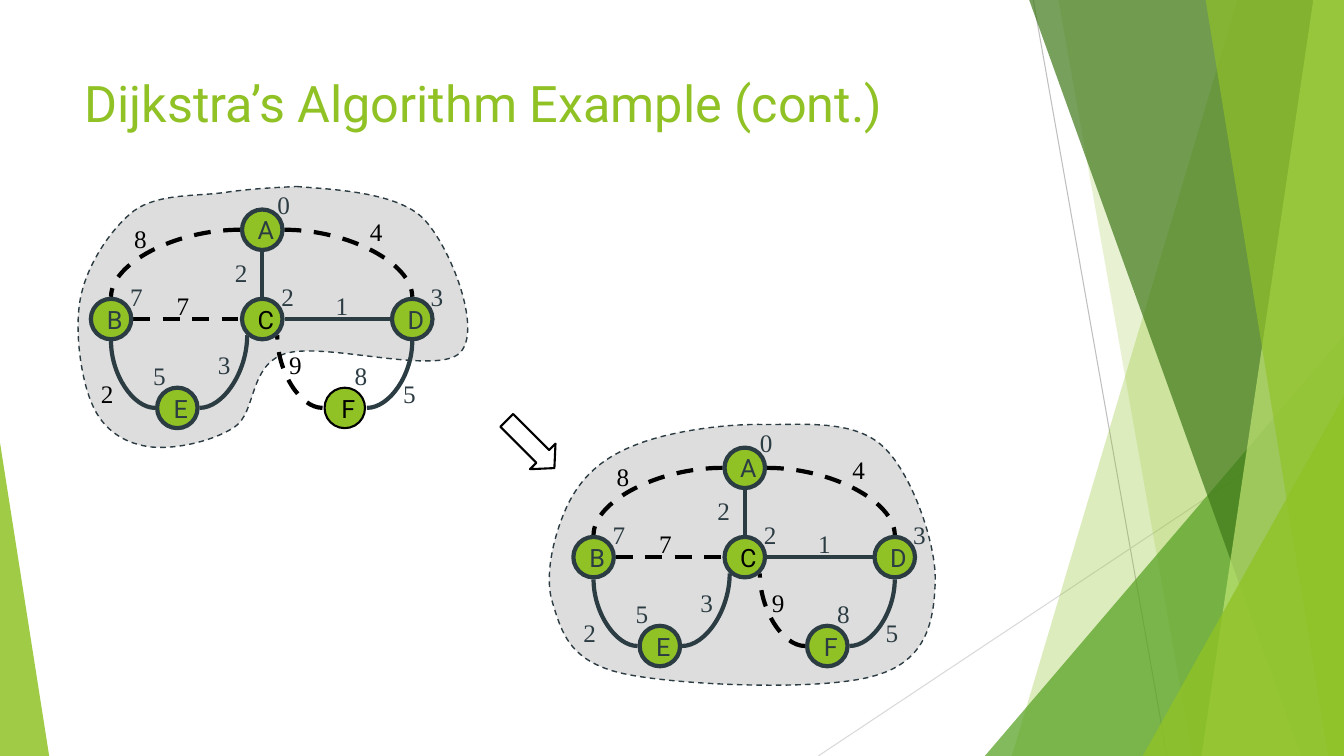
from lxml import etree
from pptx import Presentation
from pptx.dml.color import RGBColor
from pptx.enum.dml import MSO_LINE
from pptx.enum.shapes import MSO_CONNECTOR, MSO_SHAPE
from pptx.enum.text import MSO_ANCHOR, MSO_AUTO_SIZE, PP_ALIGN
from pptx.oxml.ns import qn
from pptx.util import Cm, Pt

STRAIGHT, CURVE = MSO_CONNECTOR.STRAIGHT, MSO_CONNECTOR.CURVE
ELLIPSE, TRIANGLE, ARROW = MSO_SHAPE.OVAL, MSO_SHAPE.ISOSCELES_TRIANGLE, MSO_SHAPE.RIGHT_ARROW
DASH = MSO_LINE.DASH
TOP, MIDDLE = MSO_ANCHOR.TOP, MSO_ANCHOR.MIDDLE
LEFT, CENTER = PP_ALIGN.LEFT, PP_ALIGN.CENTER
GROW, FIXED = MSO_AUTO_SIZE.SHAPE_TO_FIT_TEXT, MSO_AUTO_SIZE.NONE

SANS, SERIF = "Roboto", "Times New Roman"
GREEN, SLATE, BLACK, GREY = "90C226", "2C3C43", "000000", "DDDDDD"
W, H = 33.87, 19.05

# Graph geometry in cm, relative to the graph's left top corner
RADIUS, GAP = 0.51, 0.56
NODES = {"A": (4.32, 0.51), "B": (0.51, 2.76), "C": (4.32, 2.76),
         "D": (8.1, 2.76), "E": (2.18, 5), "F": (6.4, 5)}
SIDES = {"n": (0, -GAP), "s": (0, GAP), "w": (-GAP, 0), "e": (GAP, 0),
         "sw": (-0.38, 0.41), "se": (0.38, 0.41)}
# Start node and side, end node and side, kind, shortest-path edge,
# weight and place of its label
EDGES = [("A", "w", "B", "n", CURVE, False, "8", (0.84, 0.23)),
         ("E", "w", "B", "s", CURVE, True, "2", (0, 4.14)),
         ("E", "e", "C", "sw", CURVE, True, "3", (2.95, 3.4)),
         ("A", "s", "C", "n", STRAIGHT, True, "2", (3.38, 1.07)),
         ("B", "e", "C", "w", STRAIGHT, False, "7", (1.91, 1.91)),
         ("F", "e", "D", "s", CURVE, True, "5", (7.62, 4.14)),
         ("A", "e", "D", "n", CURVE, False, "4", (6.78, 0.05)),
         ("C", "e", "D", "w", STRAIGHT, True, "1", (5.92, 1.91)),
         ("F", "w", "C", "se", CURVE, False, "9", (4.75, 3.4))]
DISTANCES = [("0", 4.45, -0.64), ("3", 8.31, 1.68), ("2", 4.55, 1.68),
             ("7", 0.74, 1.68), ("5", 1.32, 3.68), ("8", 6.4, 3.68)]

# Cloud outlines: a start point, then two control points and an end per curve
CLOUD_WITHOUT_F = [
    (5.18, -0.58), (5.99, -0.51), (7.7, -0.46), (8.38, 0.23), (9.07, 0.94), (9.88, 3.05),
    (9.3, 3.61), (8.74, 4.19), (5.87, 3.33), (4.9, 3.63), (3.96, 3.94), (4.19, 5.11),
    (3.61, 5.49), (3.02, 5.87), (2.01, 6.07), (1.42, 5.97), (0.81, 5.87), (0.3, 5.54),
    (0.03, 4.9), (-0.25, 4.27), (-0.43, 3), (-0.25, 2.18), (-0.08, 1.37), (0.51, 0.48),
    (1.09, 0.03), (1.7, -0.41), (2.69, -0.33), (3.38, -0.43), (4.06, -0.53),
    (4.8, -0.56), (5.18, -0.58)]
CLOUD_WITH_F = [
    (4.85, -0.58), (5.89, -0.58), (7.09, -0.69), (7.8, -0.03), (8.51, 0.61), (9.14, 2.39),
    (9.12, 3.35), (9.09, 4.32), (8.94, 5.36), (7.62, 5.74), (6.3, 6.15), (2.59, 5.99),
    (1.24, 5.69), (-0.13, 5.38), (-0.3, 4.62), (-0.53, 3.89), (-0.76, 3.15),
    (-0.43, 1.98), (-0.08, 1.32), (0.28, 0.66), (0.79, 0.23), (1.6, -0.08),
    (2.44, -0.41), (3.84, -0.61), (4.85, -0.58)]


def rgb(color):
    return RGBColor.from_string(color)


def style(sp, fill=None, alpha=100, line=None, width=1, dash=None):
    sp.shadow.inherit = False
    if fill:
        sp.fill.solid()
        sp.fill.fore_color.rgb = rgb(fill)
        if alpha < 100:
            clr = sp._element.spPr.find(".//" + qn("a:srgbClr"))
            etree.SubElement(clr, qn("a:alpha")).set("val", str(alpha * 1000))
    else:
        sp.fill.background()
    if line:
        style_line(sp, line, width, dash)
    else:
        sp.line.fill.background()


def style_line(sp, color, width, dash=None):
    sp.line.color.rgb = rgb(color)
    sp.line.width = Pt(width)
    if dash:
        sp.line.dash_style = dash


def set_text(sp, text, size=18, font=SANS, color=SLATE, align=LEFT, anchor=TOP,
             wrap=False, fit=FIXED):
    tf = sp.text_frame
    tf.word_wrap, tf.auto_size, tf.vertical_anchor = wrap, fit, anchor
    p = tf.paragraphs[0]
    p.alignment = align
    r = p.add_run()
    r.text = text
    r.font.size, r.font.name, r.font.color.rgb = Pt(size), font, rgb(color)


def add_shape(s, kind, x, y, w, h):
    return s.shapes.add_shape(kind, Cm(x), Cm(y), Cm(w), Cm(h))


def add_line(s, x1, y1, x2, y2, color, width, dash=None, kind=STRAIGHT):
    c = s.shapes.add_connector(kind, Cm(x1), Cm(y1), Cm(x2), Cm(y2))
    style_line(c, color, width, dash)
    etree.SubElement(c._element.spPr, qn("a:effectLst"))
    if kind == CURVE:
        c._element.spPr.find(qn("a:prstGeom")).set("prst", "curvedConnector2")


def add_outline(s, points):
    pts = [(Cm(x), Cm(y)) for x, y in points]
    builder = s.shapes.build_freeform(*pts[0])
    builder.add_line_segments(pts[1:], close=True)
    return builder.convert_to_shape()


def add_cloud(s, points):
    sp = add_outline(s, points)
    style(sp, GREY, line=SLATE, dash=DASH)
    # Turn each three straight segments into one Bézier curve
    steps = sp._element.findall(".//" + qn("a:lnTo"))
    for i in range(0, len(steps) - 2, 3):
        curve = etree.Element(qn("a:cubicBezTo"))
        steps[i].addprevious(curve)
        for step in steps[i:i + 3]:
            curve.append(step[0])
            step.getparent().remove(step)


def add_label(s, text, x, y, color):
    tb = s.shapes.add_textbox(Cm(x), Cm(y), Cm(0.83), Cm(1.03))
    set_text(tb, text, font=SERIF, color=color, fit=GROW)


def draw_graph(s, left, top, cloud, f_done):
    add_cloud(s, [(left + x, top + y) for x, y in cloud])
    # Edges and weights
    for a, side_a, b, side_b, kind, chosen, weight, (lx, ly) in EDGES:
        (ax, ay), (adx, ady) = NODES[a], SIDES[side_a]
        (bx, by), (bdx, bdy) = NODES[b], SIDES[side_b]
        color = SLATE if chosen else BLACK
        add_line(s, left + ax + adx, top + ay + ady, left + bx + bdx, top + by + bdy,
                 color, 3, None if chosen else DASH, kind)
        if a + b == "EB" and not f_done:
            color = BLACK
        add_label(s, weight, left + lx, top + ly, color)
    # Nodes
    for name, (x, y) in NODES.items():
        pending = name == "F" and not f_done
        sp = add_shape(s, ELLIPSE, left + x - RADIUS, top + y - RADIUS, 2 * RADIUS, 2 * RADIUS)
        style(sp, GREEN, line=BLACK if pending else SLATE, width=1.5 if pending else 3)
        set_text(sp, name, color=BLACK if pending or name == "C" else SLATE,
                 align=CENTER, anchor=MIDDLE)
        tf = sp.text_frame
        tf.margin_left, tf.margin_right = Cm(0.18), 0
    # Distances from A
    for text, x, y in DISTANCES:
        add_label(s, text, left + x, top + y, SLATE)


def draw_band(s, top_x, bottom_x, fill, alpha):
    sp = add_outline(s, [(top_x, -0.02), (W, -0.02), (W, H), (bottom_x, H)])
    style(sp, fill, alpha)


def draw_wedge(s, x, y, w, apex, fill, alpha):
    sp = add_shape(s, TRIANGLE, x, y, w, H - y)
    sp.adjustments[0] = apex
    style(sp, fill, alpha)


def draw_background(s):
    add_line(s, 26.04, 0, 29.41, H, "BFBFBF", 0.75)
    add_line(s, W, 10.24, 20.62, H, "D9D9D9", 0.75)
    draw_band(s, 31.19, 25.5, GREEN, 30)
    draw_band(s, 26.67, 30.05, GREEN, 20)
    draw_wedge(s, 24.82, 8.46, 9.05, 1, "54A021", 72)
    draw_band(s, 25.93, 32.79, "3F7819", 70)
    draw_band(s, 33.1, 30.28, "C0E474", 70)
    draw_band(s, 30.38, 33.48, GREEN, 65)
    draw_wedge(s, 28.8, 9.98, 5.07, 1, GREEN, 80)
    draw_wedge(s, 0, 11.15, 1.24, 0, GREEN, 85)


def draw_title(s, text, x, y, w, h):
    tb = s.shapes.add_textbox(Cm(x), Cm(y), Cm(w), Cm(h))
    set_text(tb, text, size=36, color=GREEN, wrap=True)


def draw_arrow(s, x, y, w, h):
    sp = add_shape(s, ARROW, x, y, w, h)
    sp.rotation = 45
    sp.adjustments[1] = 0.457
    style(sp, line=BLACK, width=1.5)


def main():
    prs = Presentation()
    prs.slide_width, prs.slide_height = Cm(W), Cm(H)
    s = prs.slides.add_slide(prs.slide_layouts[6])
    draw_background(s)
    draw_title(s, "Dijkstra’s Algorithm Example (cont.)", 1.88, 1.7, 23.88, 3.66)
    draw_graph(s, 2.29, 5.28, CLOUD_WITHOUT_F, f_done=False)
    draw_graph(s, 14.45, 11.28, CLOUD_WITH_F, f_done=True)
    draw_arrow(s, 12.52, 10.74, 1.7, 0.91)
    prs.save("out.pptx")


if __name__ == "__main__":
    main()
